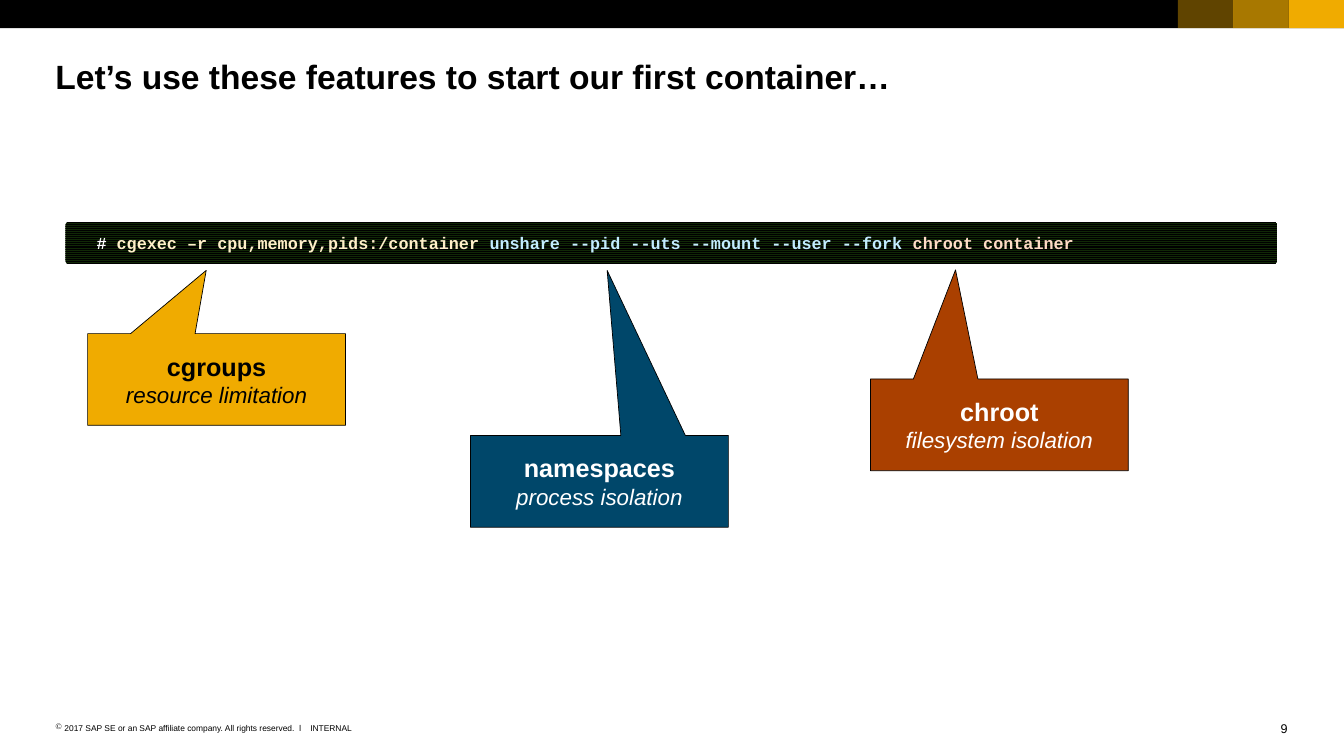
"""Build the slide that starts a first container from kernel features."""
from dataclasses import dataclass

from lxml.etree import SubElement
from pptx import Presentation
from pptx.dml.color import RGBColor
from pptx.enum.dml import MSO_PATTERN
from pptx.enum.shapes import MSO_SHAPE
from pptx.enum.text import MSO_ANCHOR, PP_ALIGN
from pptx.oxml.ns import qn
from pptx.util import Pt

EMU_PER_PX = 9144


@dataclass(frozen=True)
class Theme:
    sans: str = "Arial"
    mono: str = "Courier New"
    black: str = "000000"
    white: str = "FFFFFF"
    gold: str = "F0AB00"
    blue: str = "00476A"
    rust: str = "AA4000"
    bar_back: str = "112806"
    code_gold: str = "FFEFC9"
    code_blue: str = "C3ECFF"
    code_rust: str = "FFDCC6"
    title: int = 24
    label: int = 18
    detail: int = 16
    code: int = 12
    page: int = 9
    footer: int = 6


THEME = Theme()


def px(*values):
    return [v * EMU_PER_PX for v in values]


def rgb(color):
    return RGBColor.from_string(color)


def set_font(r, size, color, name=THEME.sans, bold=False, italic=False):
    r.font.name = name
    r.font.size = Pt(size)
    r.font.bold = bold
    r.font.italic = italic
    r.font.color.rgb = rgb(color)


def set_frame(tf, x=0, y=0, anchor=MSO_ANCHOR.TOP, wrap=True):
    tf.margin_left, tf.margin_right, tf.margin_top, tf.margin_bottom = px(x, x, y, y)
    tf.vertical_anchor = anchor
    tf.word_wrap = wrap


def set_indent(p, left, first=0):
    pPr = p._p.get_or_add_pPr()
    pPr.set("marL", str(left * EMU_PER_PX))
    pPr.set("indent", str(first * EMU_PER_PX))
    return pPr


def add_text(s, box, text, size, bold=False, align=PP_ALIGN.LEFT, wrap=True, bullet=None):
    tf = s.shapes.add_textbox(*px(*box)).text_frame
    set_frame(tf, wrap=wrap)
    p = tf.paragraphs[0]
    p.text = text
    p.alignment = align
    if bullet:
        pPr = set_indent(p, 9, -9)
        SubElement(pPr, qn("a:buChar")).set("char", bullet)
    set_font(p.runs[0], size, THEME.black, bold=bold)


def add_shape(s, kind, box, color=None, alpha=100):
    sp = s.shapes.add_shape(kind, *px(*box))
    sp.shadow.inherit = False
    sp.line.fill.background()
    if color:
        sp.fill.solid()
        sp.fill.fore_color.rgb = rgb(color)
    if alpha < 100:
        clr = sp.fill._xPr.find(qn("a:solidFill"))[0]
        SubElement(clr, qn("a:alpha")).set("val", str(alpha * 1000))
    return sp


def add_header(s):
    add_shape(s, MSO_SHAPE.RECTANGLE, (0, 0, 1334, 28), THEME.black)
    for i, alpha in enumerate((40, 70, 100)):
        add_shape(s, MSO_SHAPE.RECTANGLE, (1169 + 55 * i, 0, 55, 28), THEME.gold, alpha)


def add_command(s, box, parts):
    sp = add_shape(s, MSO_SHAPE.ROUNDED_RECTANGLE, box)
    sp.adjustments[0] = 0.08
    sp.fill.patterned()
    sp.fill.pattern = MSO_PATTERN.NARROW_HORIZONTAL
    sp.fill.fore_color.rgb = rgb(THEME.black)
    sp.fill.back_color.rgb = rgb(THEME.bar_back)
    set_frame(sp.text_frame, 10, 8, MSO_ANCHOR.MIDDLE)
    p = sp.text_frame.paragraphs[0]
    p.alignment = PP_ALIGN.LEFT
    set_indent(p, 20)
    for text, color in parts:
        r = p.add_run()
        r.text = text
        set_font(r, THEME.code, color, THEME.mono, bold=True)


def add_callout(s, left, top, tip, label, detail, fill, color):
    sp = add_shape(s, MSO_SHAPE.RECTANGULAR_CALLOUT, (left, top, 256, 91), fill)
    sp.adjustments[0], sp.adjustments[1] = tip
    sp.line.color.rgb = rgb(THEME.black)
    sp.line.width = Pt(0.5)
    set_frame(sp.text_frame, 10, 8, MSO_ANCHOR.MIDDLE)
    p = sp.text_frame.paragraphs[0]
    p.text = f"{label}\v{detail}"
    p.alignment = PP_ALIGN.CENTER
    set_font(p.runs[0], THEME.label, color, bold=True)
    set_font(p.runs[1], THEME.detail, color, italic=True)


def add_footer(s):
    add_text(s, (1263, 715, 15, 15), "9", THEME.page, align=PP_ALIGN.RIGHT, wrap=False)
    add_text(s, (308, 717, 42, 10), "INTERNAL", THEME.footer, wrap=False)
    add_text(s, (55, 717, 248, 10),
             "2017 SAP SE or an SAP affiliate company. All rights reserved.  ǀ",
             THEME.footer, bullet="©")


def main():
    prs = Presentation()
    prs.slide_width, prs.slide_height = px(1334, 750)
    s = prs.slides.add_slide(prs.slide_layouts[6])
    add_footer(s)
    add_header(s)
    add_text(s, (55, 55, 1223, 40),
             "Let’s use these features to start our first container…",
             THEME.title, bold=True)
    add_command(s, (65, 220, 1203, 42), [
        ("# ", THEME.white),
        ("cgexec –r cpu,memory,pids:/container ", THEME.code_gold),
        ("unshare --pid --uts --mount --user --fork ", THEME.code_blue),
        ("chroot container", THEME.code_rust),
    ])
    callouts = [
        (87, 331, (-0.04, -1.19), "cgroups", "resource limitation", THEME.gold, THEME.black),
        (467, 432, (0.03, -2.3), "namespaces", "process isolation", THEME.blue, THEME.white),
        (864, 376, (-0.17, -1.69), "chroot", "filesystem isolation", THEME.rust, THEME.white),
    ]
    for callout in callouts:
        add_callout(s, *callout)
    prs.save("out.pptx")


if __name__ == "__main__":
    main()
